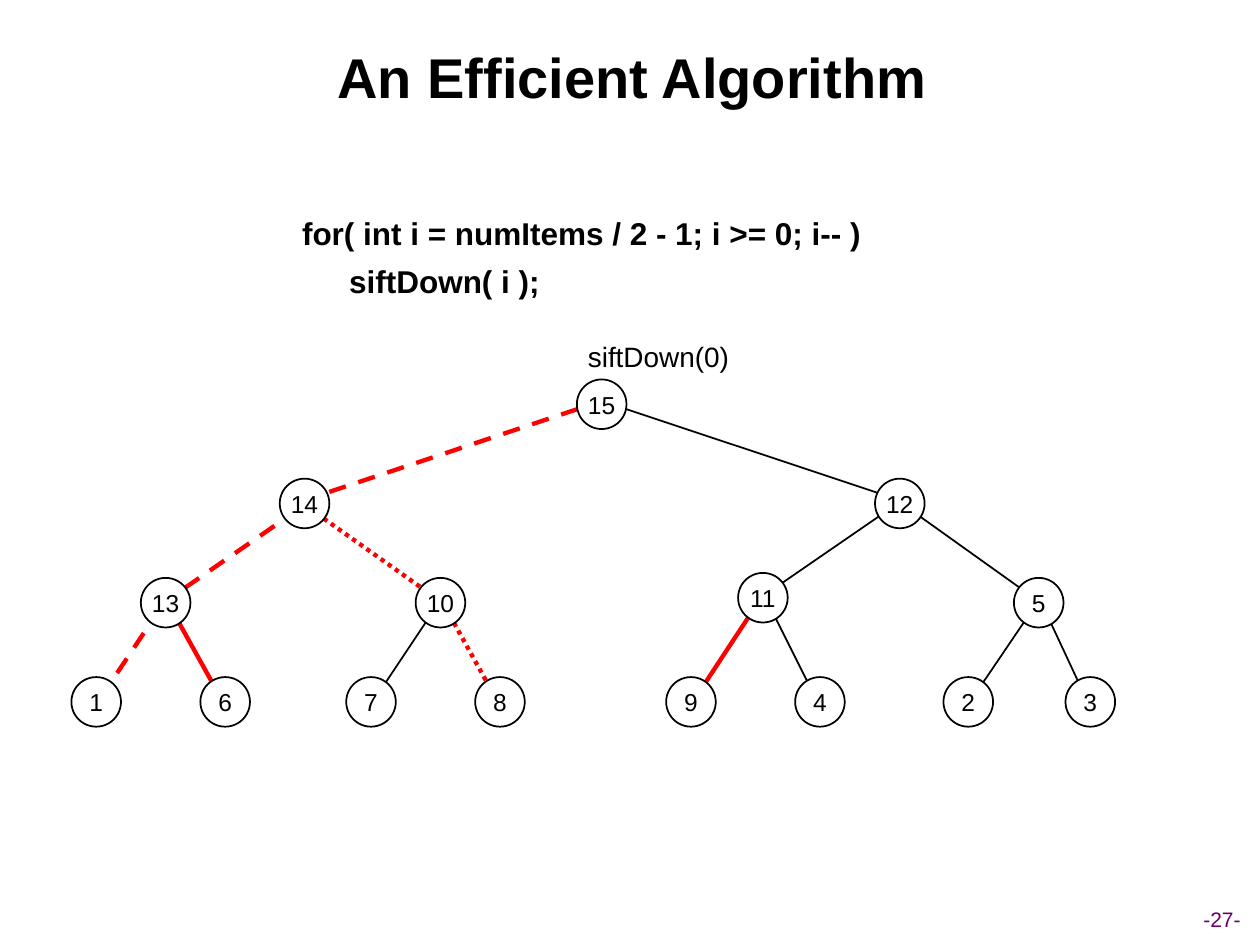
from dataclasses import dataclass
from typing import NamedTuple, Optional

from lxml import etree
from pptx import Presentation
from pptx import util as u
from pptx.dml.color import RGBColor
from pptx.enum import dml, shapes, text
from pptx.oxml.ns import qn


@dataclass(frozen=True)
class Theme:
    font: str = "Arial"
    ink: RGBColor = RGBColor(0, 0, 0)
    paper: RGBColor = RGBColor(255, 255, 255)
    red: RGBColor = RGBColor(255, 0, 0)
    plum: RGBColor = RGBColor(0x66, 0, 0x66)
    title: int = 32
    code: int = 18
    label: int = 16
    node: int = 14
    page: int = 12
    thin: float = 1
    thick: float = 2.5


class Box(NamedTuple):
    left: float
    top: float
    width: float
    height: float

    def cm(self) -> list:
        return [u.Cm(v) for v in self]


class Node(NamedTuple):
    key: int
    x: float
    shift: float = 0      # vertical nudge from its level
    pull: float = 0.1     # where its edges start, off the centre


class Edge(NamedTuple):
    red: bool = False
    dash: Optional[dml.MSO_LINE] = None


THEME = Theme()
SIZE = 1.0        # node diameter
TOP, STEP = 8.15, 2.0   # first level and level gap

# Heap in array order: the children of i are 2i + 1 and 2i + 2
HEAP = [
    Node(15, 12.13, pull=-0.1),
    Node(14, 6.14), Node(12, 18.14, pull=-0.1),
    Node(13, 3.34), Node(10, 8.88), Node(11, 15.38, shift=-0.1), Node(5, 20.94),
    Node(1, 1.94), Node(6, 4.54), Node(7, 7.48), Node(8, 10.08),
    Node(9, 13.93), Node(4, 16.53), Node(2, 19.52), Node(3, 21.98),
]
DASH = Edge(True, dml.MSO_LINE.DASH)
DOT = Edge(True, dml.MSO_LINE.ROUND_DOT)
SOLID = Edge(True)
PLAIN = Edge()
# Marked edges, by the index of the child
MARKS = {1: DASH, 3: DASH, 7: DASH, 4: DOT, 10: DOT, 8: SOLID, 11: SOLID}


def style(frame, size: int, color: RGBColor, bold: bool = False,
          align=text.PP_ALIGN.CENTER) -> None:
    for para in frame.paragraphs:
        para.alignment = align
        for run in para.runs:
            font = run.font
            font.name, font.size, font.bold = THEME.font, u.Pt(size), bold
            font.color.rgb = color


def add_text(slide, box: Box, words: str, size: int, color: RGBColor,
             bold: bool = False, align=text.PP_ALIGN.CENTER):
    frame = slide.shapes.add_textbox(*box.cm()).text_frame
    frame.word_wrap = True
    frame.text = words
    style(frame, size, color, bold, align)
    return frame


def height(index: int) -> float:
    level = (index + 1).bit_length() - 1
    return TOP + STEP * level + HEAP[index].shift


def add_edge(slide, child: int, edge: Edge) -> None:
    root = (child - 1) // 2
    side = -1 if child % 2 else 1
    start, end = HEAP[root], HEAP[child]
    ends = (start.x + side * start.pull, height(root) + start.pull,
            end.x - side * 0.1, height(child) - 0.1)
    link = slide.shapes.add_connector(
        shapes.MSO_CONNECTOR.STRAIGHT, *[u.Cm(v) for v in ends])
    link.line.color.rgb = THEME.red if edge.red else THEME.ink
    link.line.width = u.Pt(THEME.thick if edge.red else THEME.thin)
    if edge.dash:
        link.line.dash_style = edge.dash
    etree.SubElement(link._element.spPr, qn("a:effectLst"))


def add_node(slide, index: int) -> None:
    node = HEAP[index]
    box = Box(node.x - SIZE / 2, height(index) - SIZE / 2, SIZE, SIZE)
    disc = slide.shapes.add_shape(shapes.MSO_SHAPE.OVAL, *box.cm())
    disc.shadow.inherit = False
    disc.fill.solid()
    disc.fill.fore_color.rgb = THEME.paper
    disc.line.color.rgb = THEME.ink
    disc.line.width = u.Pt(THEME.thin)
    frame = disc.text_frame
    frame.margin_left = frame.margin_right = 0
    frame.margin_top = frame.margin_bottom = 0
    frame.word_wrap = False
    frame.vertical_anchor = text.MSO_ANCHOR.MIDDLE
    frame.text = str(node.key)
    style(frame, THEME.node, THEME.ink)


def add_code(slide) -> None:
    frame = add_text(slide, Box(2.18, 4.2, 21.29, 2.2),
                     "for( int i = numItems / 2 - 1; i >= 0; i-- )\nsiftDown( i );",
                     THEME.code, THEME.ink, True, text.PP_ALIGN.LEFT)
    for para, indent in zip(frame.paragraphs, (3.66, 4.61)):
        para._p.get_or_add_pPr().set("marL", str(u.Cm(indent)))
    frame.paragraphs[1].space_before = u.Pt(5.5)


def main() -> None:
    deck = Presentation()
    deck.slide_width, deck.slide_height = u.Cm(25.4), u.Cm(19.05)
    slide = deck.slides.add_slide(deck.slide_layouts[5])

    # Title
    title = slide.shapes.title
    title.left, title.top, title.width, title.height = Box(0.97, 0.33, 23.55, 2.41).cm()
    title.text_frame.text = "An Efficient Algorithm"
    title.text_frame.vertical_anchor = text.MSO_ANCHOR.MIDDLE
    style(title.text_frame, THEME.title, THEME.ink, True)

    # Tree: edges lie beneath the nodes
    for child in range(1, len(HEAP)):
        add_edge(slide, child, MARKS.get(child, PLAIN))
    for index in range(len(HEAP)):
        add_node(slide, index)
    add_text(slide, Box(11.6, 6.73, 3.35, 0.94), "siftDown(0)",
             THEME.label, THEME.ink)

    # Code and page number
    add_code(slide)
    page = add_text(slide, Box(23.87, 18.14, 1.53, 0.76), "-27-",
                    THEME.page, THEME.plum)
    page.margin_left = page.margin_right = 0
    page.vertical_anchor = text.MSO_ANCHOR.MIDDLE

    deck.save("out.pptx")


if __name__ == "__main__":
    main()
